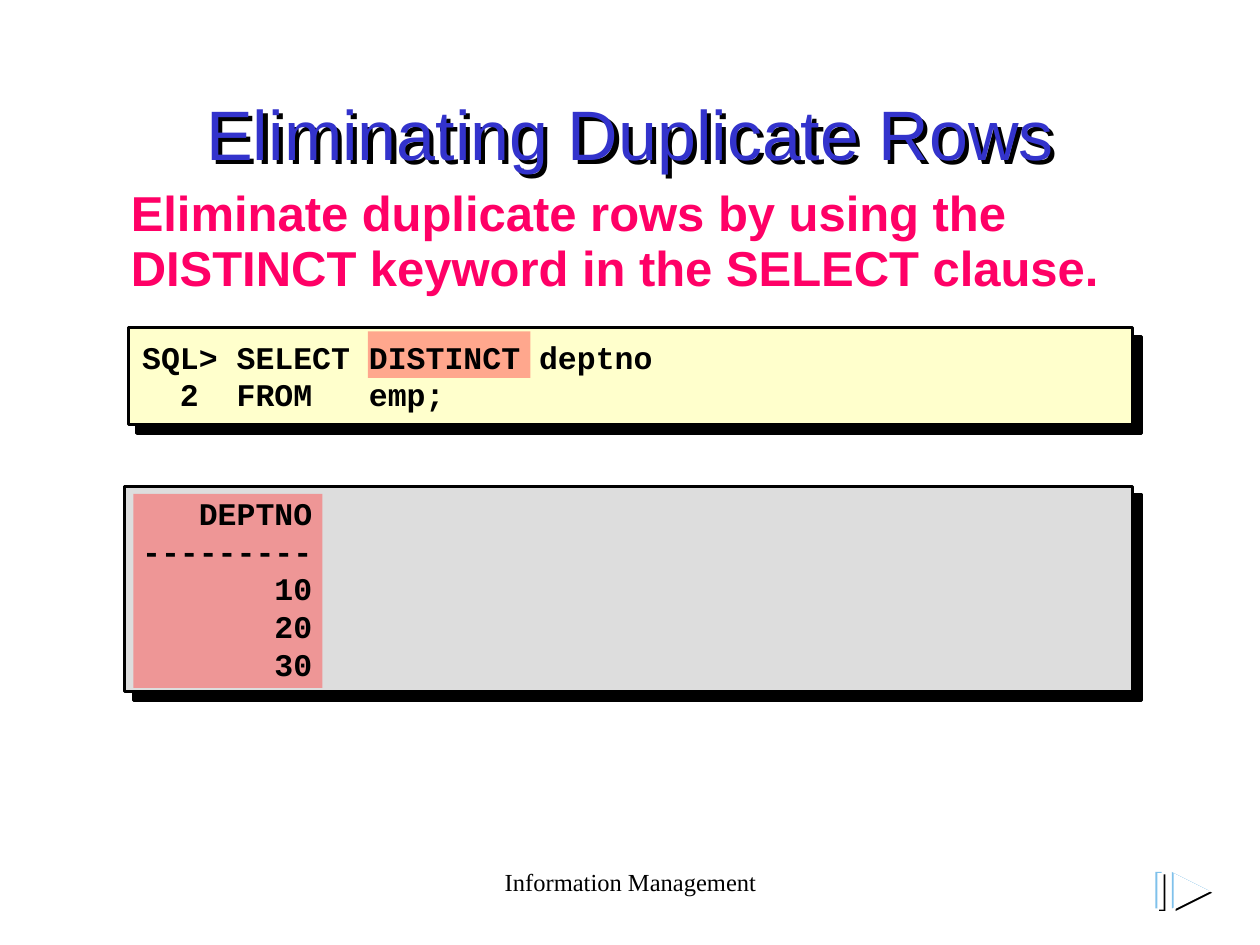
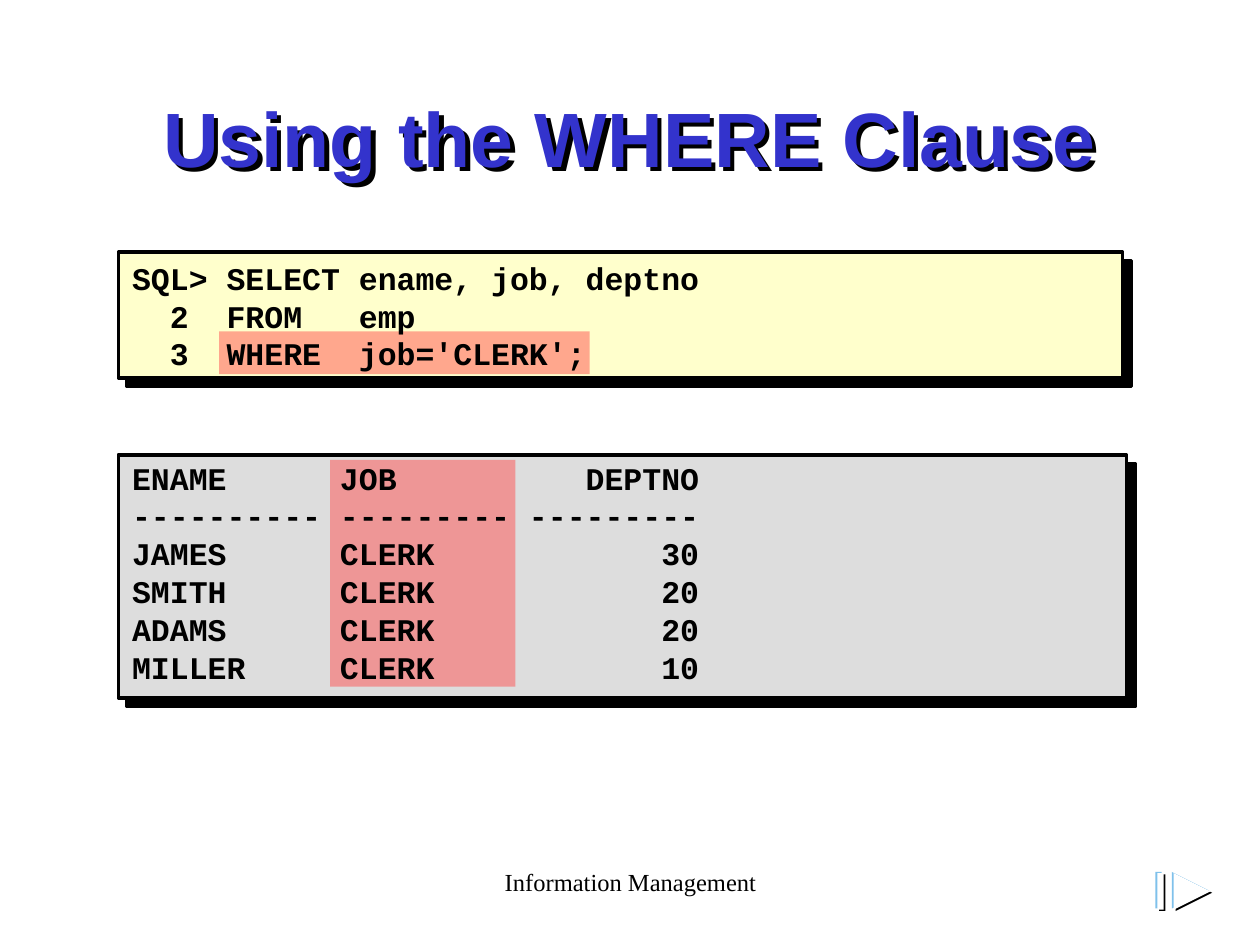
import dataclasses
import typing

import lxml.etree
import pptx
import pptx.dml.color
import pptx.enum.shapes
import pptx.enum.text
import pptx.oxml.ns
import pptx.util

# Grid: 100 columns by 75 rows over a 10 x 7.5 inch slide
WIDTH, HEIGHT = pptx.util.Inches(10), pptx.util.Inches(7.5)
COLUMN, ROW = WIDTH / 100, HEIGHT / 75

# Shared colours and fonts
BLACK, WHITE, SKY = "000000", "FFFFFF", "7FC1EB"
TITLE_BLUE, PINK = "3333CC", "FF0066"
QUERY_YELLOW, RESULT_GREY, MARK_RED = "FFFFCC", "DDDDDD", "FF5050"
SANS, MONO, SERIF = "Arial", "Courier New", "Times New Roman"

RECTANGLE = pptx.enum.shapes.MSO_SHAPE.RECTANGLE
LEFT, CENTER = pptx.enum.text.PP_ALIGN.LEFT, pptx.enum.text.PP_ALIGN.CENTER
TOP, MIDDLE = pptx.enum.text.MSO_ANCHOR.TOP, pptx.enum.text.MSO_ANCHOR.MIDDLE


class Box(typing.NamedTuple):
    """Left, top, width and height in grid columns and rows."""
    left: float
    top: float
    width: float
    height: float

    def emu(self) -> tuple[int, int, int, int]:
        return (round(self.left * COLUMN), round(self.top * ROW),
                round(self.width * COLUMN), round(self.height * ROW))


@dataclasses.dataclass(frozen=True)
class Style:
    font: str
    size: int
    color: str
    bold: bool = False
    align: typing.Any = LEFT
    anchor: typing.Any = TOP
    spacing: float = 1.0


@dataclasses.dataclass(frozen=True)
class Listing:
    """A framed panel with one marked area and lines of code over it."""
    panel: Box
    fill: str
    mark: Box
    text: Box
    style: Style
    lines: tuple[str, ...]


@dataclasses.dataclass(frozen=True)
class Page:
    title: str
    title_style: Style
    query: Listing
    result: Listing
    lead: str = ""


FOOTER = Style(SERIF, 14, BLACK, align=CENTER)
LEAD = Style(SANS, 28, PINK, bold=True, spacing=0.95)
RESULT = Style(MONO, 18, BLACK, bold=True)
QUERY = dataclasses.replace(RESULT, anchor=MIDDLE)
TITLE = Style(SANS, 40, TITLE_BLUE, align=CENTER)
BOLD_TITLE = dataclasses.replace(TITLE, size=44, bold=True)

TITLE_BOX = Box(7.5, 6.7, 85, 12.5)
LEAD_BOX = Box(9.4, 14.3, 80.6, 9.9)
FOOTER_BOX = Box(34.2, 68.3, 31.7, 5)

PAGES = (
    Page(
        "Eliminating Duplicate Rows", TITLE,
        Listing(Box(10.2, 26, 79.7, 7.7), QUERY_YELLOW,
                Box(29.2, 26.3, 12.9, 3.7), Box(10.3, 25.8, 80, 8), QUERY,
                ("SQL> SELECT DISTINCT deptno",
                 "  2  FROM   emp;")),
        Listing(Box(9.9, 38.6, 80, 16.3), RESULT_GREY,
                Box(10.6, 39.2, 15, 15.4), Box(10.3, 38.7, 79.7, 19), RESULT,
                ("   DEPTNO",
                 "---------",
                 "       10",
                 "       20",
                 "       30")),
        lead="Eliminate duplicate rows by using the "
             "DISTINCT keyword in the SELECT clause.",
    ),
    Page(
        "Using the WHERE Clause", BOLD_TITLE,
        Listing(Box(9.4, 20, 79.7, 10), QUERY_YELLOW,
                Box(17.4, 26.3, 29.4, 3.4), Box(9.5, 19.9, 80, 10.3), QUERY,
                ("SQL> SELECT ename, job, deptno",
                 "  2  FROM   emp",
                 "  3  WHERE  job='CLERK';")),
        Listing(Box(9.4, 36.1, 80, 19.3), RESULT_GREY,
                Box(26.2, 36.5, 14.7, 18), Box(9.5, 35.9, 80.3, 19), RESULT,
                ("ENAME      JOB          DEPTNO",
                 "---------- --------- ---------",
                 "JAMES      CLERK            30",
                 "SMITH      CLERK            20",
                 "ADAMS      CLERK            20",
                 "MILLER     CLERK            10")),
    ),
)


def rgb(color: str) -> pptx.dml.color.RGBColor:
    return pptx.dml.color.RGBColor.from_string(color)


def add_xml(parent, tag: str, **attributes: str):
    return lxml.etree.SubElement(parent, pptx.oxml.ns.qn(tag), attributes)


def cast_shadow(shape, distance: float) -> None:
    """Hard black shadow towards the lower right; distance in points."""
    shape.shadow.inherit = False
    effects = shape._element.spPr.find(pptx.oxml.ns.qn("a:effectLst"))
    outer = add_xml(effects, "a:outerShdw", dist=str(pptx.util.Pt(distance)),
                    dir="2700000", algn="ctr", rotWithShape="0")
    add_xml(outer, "a:srgbClr", val=BLACK)


def paint(shape, color: str) -> None:
    shape.shadow.inherit = False
    shape.fill.solid()
    shape.fill.fore_color.rgb = rgb(color)
    shape.line.fill.background()


def add_block(slide, box: Box, color: str):
    block = slide.shapes.add_shape(RECTANGLE, *box.emu())
    paint(block, color)
    return block


def add_text(slide, box: Box, lines: typing.Sequence[str], style: Style):
    holder = slide.shapes.add_textbox(*box.emu())
    frame = holder.text_frame
    frame.word_wrap = True
    frame.vertical_anchor = style.anchor
    for index, line in enumerate(lines):
        paragraph = frame.add_paragraph() if index else frame.paragraphs[0]
        paragraph.alignment = style.align
        if style.spacing != 1:
            paragraph.line_spacing = style.spacing
        run = paragraph.add_run()
        run.text = line
        run.font.name = style.font
        run.font.size = pptx.util.Pt(style.size)
        run.font.bold = style.bold
        run.font.color.rgb = rgb(style.color)
    return holder


def add_panel(slide, listing: Listing) -> None:
    panel = add_block(slide, listing.panel, listing.fill)
    panel.line.color.rgb = rgb(BLACK)
    panel.line.width = pptx.util.Pt(2)
    cast_shadow(panel, 7.1)


def add_mark(slide, listing: Listing) -> None:
    """Half-transparent highlight."""
    mark = add_block(slide, listing.mark, MARK_RED)
    color = mark._element.spPr.find(".//" + pptx.oxml.ns.qn("a:srgbClr"))
    add_xml(color, "a:alpha", val="50000")


def add_triangle(slide, box: Box, color: str) -> None:
    left, top, width, height = box.emu()
    builder = slide.shapes.build_freeform(left + width, top + height // 2)
    builder.add_line_segments([(left, top), (left, top + height)], close=True)
    paint(builder.convert_to_shape(), color)


def add_play_icon(slide) -> None:
    """Embossed bar and triangle: dark edge, light edge, then the face."""
    layers = ((BLACK, 0.3, 0.2), (SKY, 0, 0), (WHITE, 0.15, 0.1))
    for color, right, down in layers:
        add_block(slide, Box(91.7 + right, 69.2 + down, 0.5, 2.9), color)
    for color, right, down in layers:
        add_triangle(slide, Box(93 + right, 69.2 + down, 2.9, 2.9), color)


def build_page(slide, page: Page) -> None:
    listings = (page.query, page.result)
    slide.background.fill.solid()
    slide.background.fill.fore_color.rgb = rgb(WHITE)
    add_text(slide, FOOTER_BOX, [page_footer], FOOTER)
    for listing in listings:
        add_panel(slide, listing)
    title = add_text(slide, TITLE_BOX, [page.title], page.title_style)
    cast_shadow(title, 3.5)
    if page.lead:
        add_text(slide, LEAD_BOX, [page.lead], LEAD)
    for listing in listings:
        add_mark(slide, listing)
    for listing in listings:
        add_text(slide, listing.text, listing.lines, listing.style)
    add_play_icon(slide)


page_footer = "Information Management"


def main() -> None:
    deck = pptx.Presentation()
    deck.slide_width, deck.slide_height = WIDTH, HEIGHT
    blank = deck.slide_layouts[6]
    for page in PAGES:
        build_page(deck.slides.add_slide(blank), page)
    deck.save("out.pptx")


if __name__ == "__main__":
    main()
